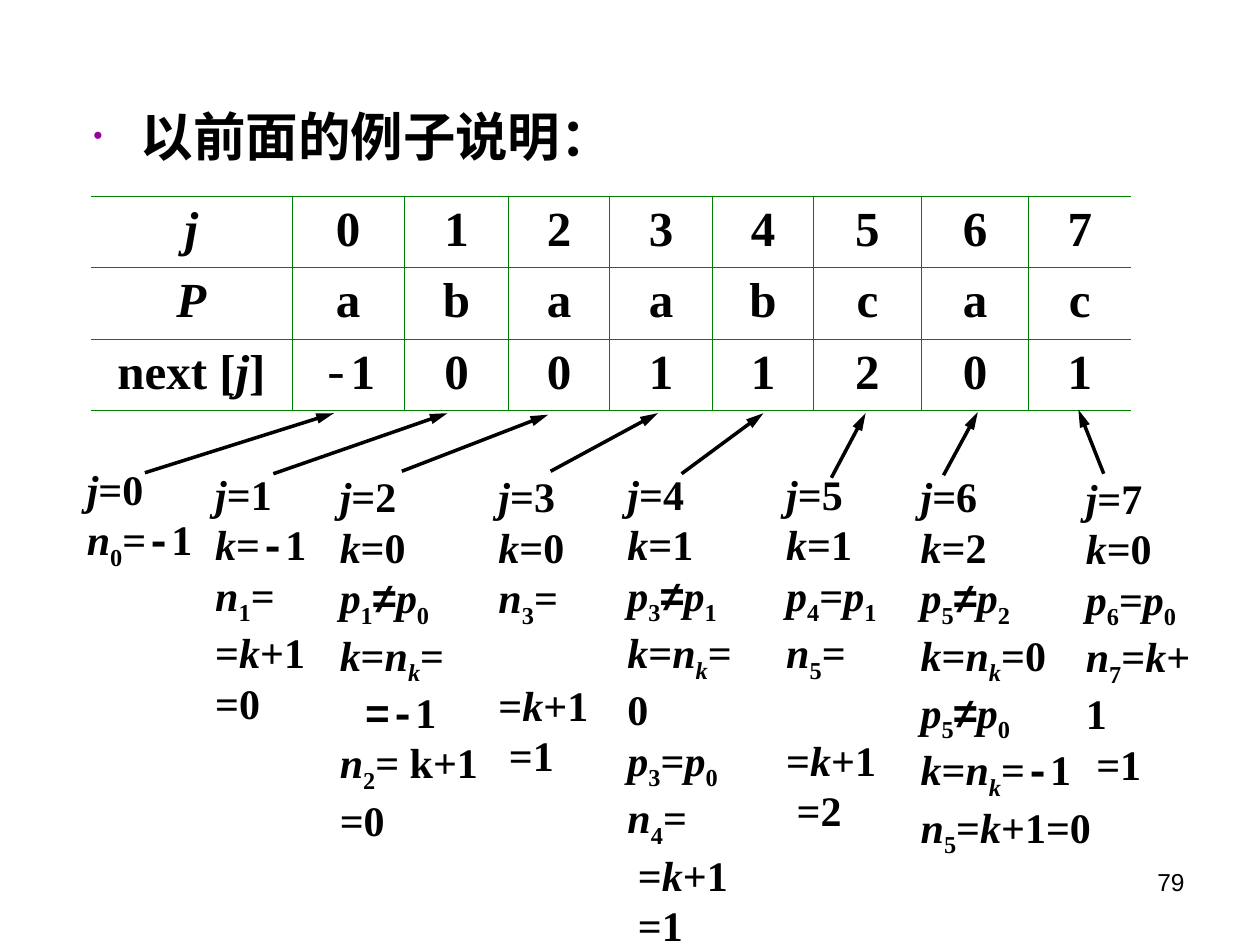
from itertools import groupby

from lxml import etree
from pptx import Presentation
from pptx import util as u
from pptx.dml.color import RGBColor
from pptx.enum import shapes, text
from pptx.oxml.ns import qn

COLOURS = {"ink": "000000", "bullet": "990099", "grid": "008000"}
SERIF, SANS, MONO = "Times New Roman", "Arial", "Courier New"

# Markup: *italic*, `monospace`, _ before a subscript character.
TABLE_ROWS = [
    ["*j*", *"01234567"],
    ["*P*", *"abaabcac"],
    ["next [*j*]", "-1", *"0011201"],
]
COLUMN_WIDTHS = [4.06, 2.26, 2.11, 2.03, 2.08, 2.03, 2.18, 2.16, 2.06]

# Each step: box (left, top, width, height), arrow (x1, y1, x2, y2), lines; in cm.
STEPS = [
    ((1.5, 9.22, 2.64, 2.44), (2.92, 9.53, 6.73, 8.33),
     ["*j*=0", "*n*_0=-1"]),
    ((4.09, 9.32, 2.34, 5.49), (5.51, 9.55, 9.02, 8.33),
     ["*j*=1", "*k*=-1", "*n*_1=", "=*k*+1", "=0"]),
    ((6.6, 9.37, 3.3, 7.8), (8.1, 9.5, 11.05, 8.36),
     ["*j*=2", "*k*=0", "*p*_1≠*p*_0", "*k*=*n_k*=", "` =-`1", "*n*_2= k+1", "=0"]),
    ((9.8, 9.37, 2.51, 5.49), (11.1, 9.5, 13.26, 8.33),
     ["*j*=3", "*k*=0", "*n*_3=", " =*k*+1", " =1"]),
    ((12.4, 9.32, 3.02, 8.94), (13.74, 9.55, 15.39, 8.33),
     ["*j*=4", "*k*=1", "*p*_3≠*p*_1", "*k*=*n_k*=0", "*p*_3=*p*_0", "*n*_4=",
      " =*k*+1", " =1"]),
    ((15.6, 9.32, 2.51, 6.63), (16.76, 9.63, 17.45, 8.33),
     ["*j*=5", "*k*=1", "*p*_4=*p*_1", "*n*_5=", " =*k*+1", " =2"]),
    ((18.31, 9.37, 3.94, 8.08), (19.02, 9.58, 19.71, 8.31),
     ["*j*=6", "*k*=2", "*p*_5≠*p*_2", "*k*=*n_k*=0", "*p*_5≠*p*_0",
      "*k*=*n_k*=-1", "*n*_5=*k*+1=0"]),
    ((21.64, 9.4, 3.02, 5.61), (22.25, 9.55, 21.74, 8.26),
     ["*j*=7", "*k*=0", "*p*_6=*p*_0", "*n*_7=*k*+1", " =1"]),
]


def lengths(*values):
    return [u.Cm(value) for value in values]


def colour(name):
    return RGBColor.from_string(COLOURS[name])


def add_xml(parent, tag, **attributes):
    return etree.SubElement(parent, qn(tag), attributes)


def write(para, content, size, font=SERIF, bold=True, italic=False, subscript=False):
    span = para.add_run()
    span.text = content
    span.font.size = u.Pt(size)
    span.font.name = font
    span.font.bold = bold
    span.font.italic = italic
    span.font.color.rgb = colour("ink")
    if subscript:
        span._r.get_or_add_rPr().set("baseline", "-25000")


def styled_characters(markup):
    """Yield (character, (font, italic, subscript)) for each visible character."""
    italic = mono = subscript = False
    for char in markup:
        if char == "*":
            italic = not italic
        elif char == "`":
            mono = not mono
        elif char == "_":
            subscript = True
        else:
            special = {"-": MONO, "≠": SANS}.get(char, SERIF)
            yield char, (MONO if mono else special, italic, subscript)
            subscript = False


def write_formula(para, markup, size, minus_bold=True):
    for style, group in groupby(styled_characters(markup), key=lambda item: item[1]):
        font, italic, subscript = style
        write(para, "".join(char for char, _ in group), size, font=font,
              bold=minus_bold or font != MONO, italic=italic, subscript=subscript)


class SlideBuilder:
    def __init__(self, page, formula_size=24, table_size=28, line_width=2):
        self.page = page
        self.formula_size = formula_size
        self.table_size = table_size
        self.line_width = line_width

    def heading(self, content, bounds):
        title = self.page.shapes.title
        title._element.getparent().remove(title._element)
        body = self.page.placeholders[1]
        body.left, body.top, body.width, body.height = lengths(*bounds)
        body.text_frame.auto_size = text.MSO_AUTO_SIZE.NONE
        para = body.text_frame.paragraphs[0]
        para.space_before = u.Pt(7.5)
        write(para, content, 30, font=SANS)
        properties = para._p.get_or_add_pPr()
        properties.set("marL", str(u.Cm(0.95)))
        properties.set("indent", str(u.Cm(-0.95)))
        bullet_colour = add_xml(properties, "a:buClr")
        add_xml(bullet_colour, "a:srgbClr", val=COLOURS["bullet"])
        add_xml(properties, "a:buSzPct", val="50000")
        add_xml(properties, "a:buFont", typeface=SANS)
        add_xml(properties, "a:buChar", char="•")

    def table(self, rows, widths, left, top, row_height):
        bounds = lengths(left, top, sum(widths), row_height * len(rows))
        table = self.page.shapes.add_table(len(rows), len(widths), *bounds).table
        table.first_row = table.horz_banding = False
        for column, width in zip(table.columns, widths):
            column.width = u.Cm(width)
        for row, values in zip(table.rows, rows):
            row.height = u.Cm(row_height)
            for index, (cell, value) in enumerate(zip(row.cells, values)):
                para = cell.text_frame.paragraphs[0]
                para.alignment = text.PP_ALIGN.CENTER
                write_formula(para, value, self.table_size, minus_bold=False)
                self.borders(cell, index > 0, index < len(widths) - 1)
                cell.fill.background()

    def borders(self, cell, left, right):
        properties = cell._tc.get_or_add_tcPr()
        sides = {"a:lnL": left, "a:lnR": right, "a:lnT": True, "a:lnB": True}
        for tag, visible in sides.items():
            line = add_xml(properties, tag, w=str(u.Pt(0.75)))
            if visible:
                fill = add_xml(line, "a:solidFill")
                add_xml(fill, "a:srgbClr", val=COLOURS["grid"])
            else:
                add_xml(line, "a:noFill")

    def formulas(self, lines, bounds):
        frame = self.page.shapes.add_textbox(*lengths(*bounds)).text_frame
        frame.word_wrap = False
        frame.auto_size = text.MSO_AUTO_SIZE.SHAPE_TO_FIT_TEXT
        for index, markup in enumerate(lines):
            para = frame.add_paragraph() if index else frame.paragraphs[0]
            write_formula(para, markup, self.formula_size)

    def arrow(self, ends):
        arrow = self.page.shapes.add_connector(
            shapes.MSO_CONNECTOR.STRAIGHT, *lengths(*ends))
        arrow.line.color.rgb = colour("ink")
        arrow.line.width = u.Pt(self.line_width)
        add_xml(arrow.line._get_or_add_ln(), "a:tailEnd",
                type="triangle", w="med", len="lg")
        add_xml(arrow._element.spPr, "a:effectLst")

    def page_number(self, number, bounds):
        frame = self.page.shapes.add_textbox(*lengths(*bounds)).text_frame
        frame.word_wrap = True
        para = frame.paragraphs[0]
        para.alignment = text.PP_ALIGN.RIGHT
        write(para, number, 14, font=SANS, bold=False)


def main():
    deck = Presentation()
    deck.slide_width, deck.slide_height = lengths(25.4, 19.05)
    builder = SlideBuilder(deck.slides.add_slide(deck.slide_layouts[1]))
    builder.heading("以前面的例子说明：", (1.63, 1.96, 22.02, 1.88))
    builder.table(TABLE_ROWS, COLUMN_WIDTHS, left=1.83, top=3.96, row_height=1.44)
    for bounds, ends, lines in STEPS:
        builder.formulas(lines, bounds)
        builder.arrow(ends)
    builder.page_number("79", (18.21, 17.35, 5.92, 1.32))
    deck.save("out.pptx")


if __name__ == "__main__":
    main()
